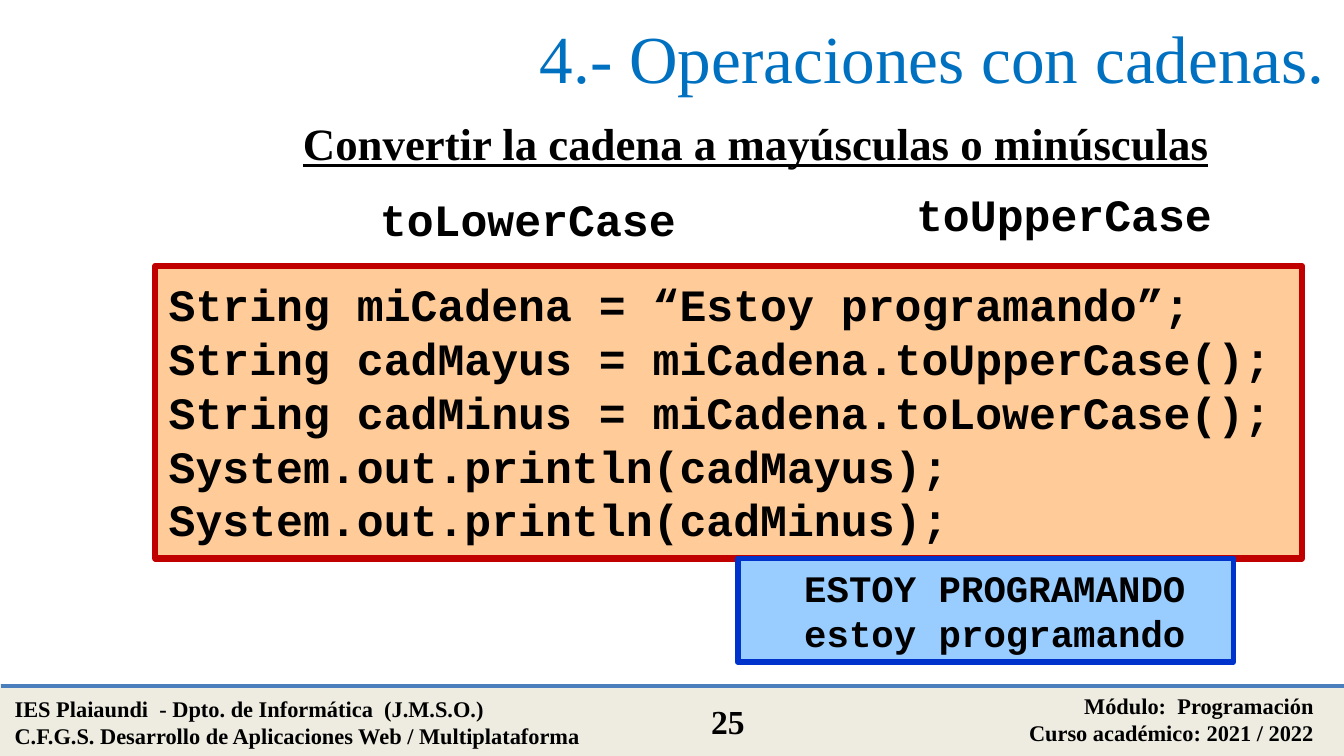
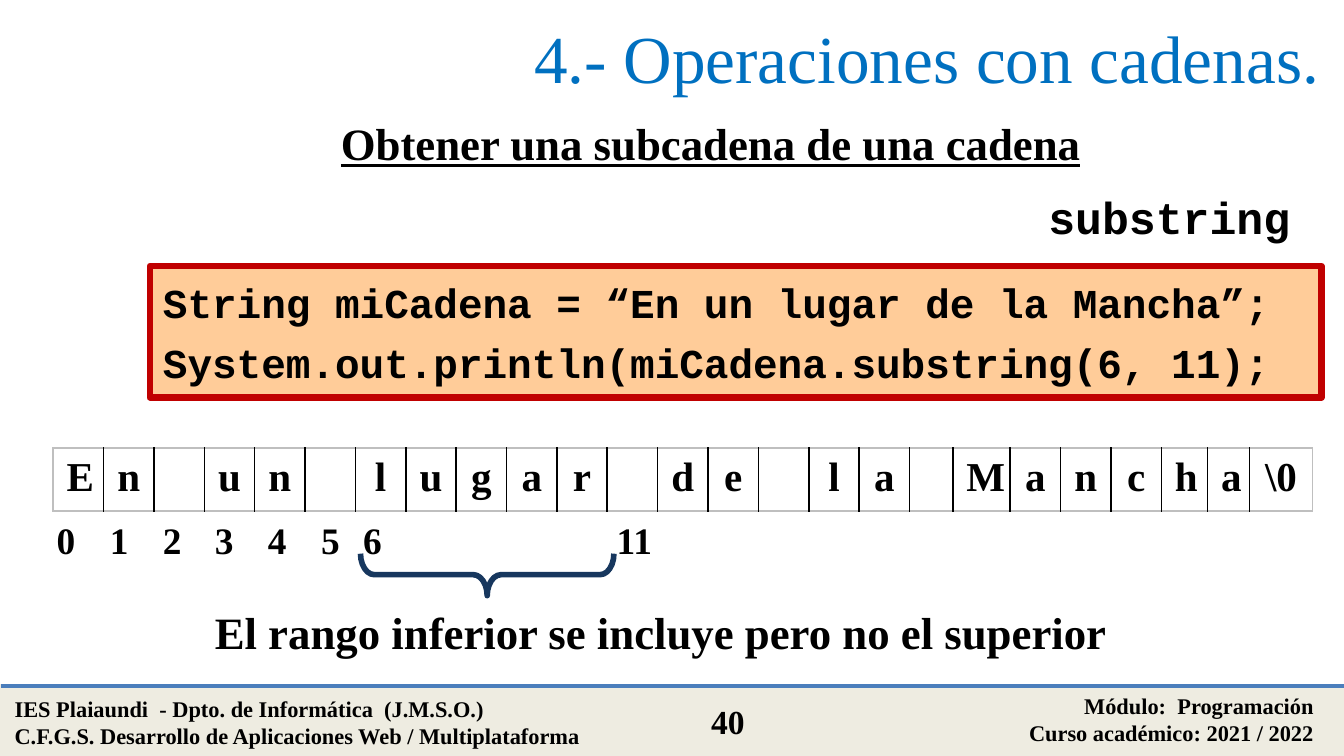
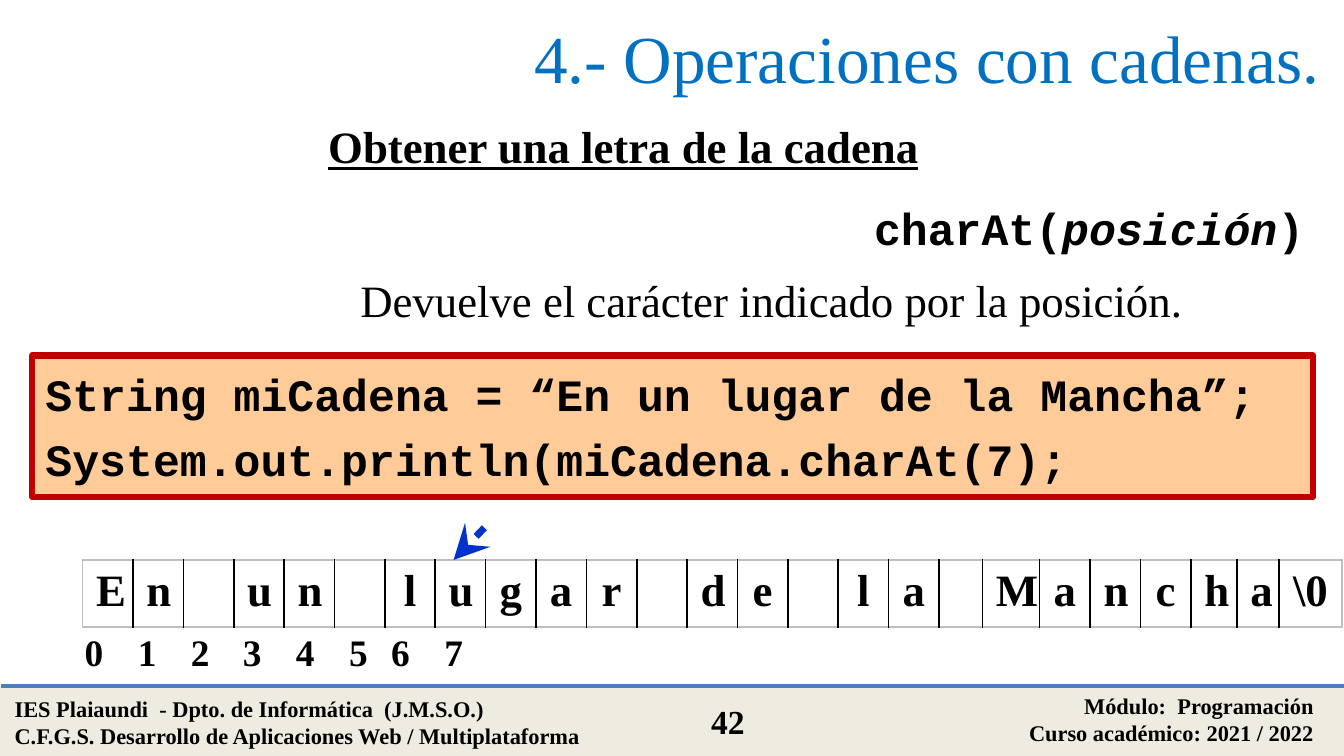
from lxml import etree
from pptx import Presentation
from pptx.dml.color import RGBColor
from pptx.enum.dml import MSO_LINE
from pptx.enum.shapes import MSO_CONNECTOR, MSO_SHAPE
from pptx.enum.text import MSO_ANCHOR, PP_ALIGN
from pptx.oxml.ns import qn
from pptx.util import Emu, Pt

LEFT, CENTER, RIGHT, JUSTIFY = PP_ALIGN.LEFT, PP_ALIGN.CENTER, PP_ALIGN.RIGHT, PP_ALIGN.JUSTIFY
TOP, MIDDLE = MSO_ANCHOR.TOP, MSO_ANCHOR.MIDDLE
RECT, BRACE = MSO_SHAPE.RECTANGLE, MSO_SHAPE.LEFT_BRACE
STRAIGHT = MSO_CONNECTOR.STRAIGHT
DASH = MSO_LINE.SQUARE_DOT

SERIF, MONO = "Times New Roman", "Courier New"
BLACK, WHITE, GRAY = "000000", "FFFFFF", "BFBFBF"
TITLE_BLUE, BAND, BAND_LINE = "0070C0", "EEECE1", "4B7EBC"
CODE_FILL, CODE_LINE = "FFCC99", "C00000"
OUTPUT_FILL, OUTPUT_LINE, BRACE_LINE = "99CCFF", "0033CC", "17375E"

LETTERS = list("En un lugar de la Mancha") + ["\\0"]
COLUMNS = [36] * 17 + [31, 41] + [36] * 3 + [33, 30, 45]
INDEX_OFFSETS = {0: 0, 1: 38, 2: 76, 3: 113, 4: 151, 5: 189, 6: 219, 7: 257, 11: 400}
QUOTE = "String miCadena = “En un lugar de la Mancha”;"


def px(n):
    return Emu(n * 9525)


def rgb(value):
    return RGBColor.from_string(value)


class Deck:
    """Hold the shared style and the current slide."""

    def __init__(self):
        self.prs = Presentation()
        self.prs.slide_width, self.prs.slide_height = px(960), px(540)
        self.s = None

    def slide(self, number, title_left=119):
        self.s = self.prs.slides.add_slide(self.prs.slide_layouts[6])
        self.shape(RECT, 1, 490, 960, 50, BAND, BAND, 2)
        self.line(1, 490, 961, 490, BAND_LINE, 2)
        self.text(1, 492, 447, 48, ["IES Plaiaundi  - Dpto. de Informática  (J.M.S.O.)",
                                    "C.F.G.S. Desarrollo de Aplicaciones Web / Multiplataforma"], 12)
        self.text(564, 490, 384, 48, ["Módulo:  Programación",
                                      "Curso académico: 2021 / 2022"], 12, align=RIGHT)
        self.text(481, 496, 78, 38, [str(number)], 18, align=CENTER)
        self.text(title_left, 0, 833, 81, ["4.- Operaciones con cadenas."], 36, align=RIGHT,
                  bold=False, color=TITLE_BLUE, anchor=MIDDLE)

    def add_runs(self, tf, paragraphs, size, font=SERIF, align=LEFT, bold=True, underline=False,
                 color=BLACK, gap=0, indent=0):
        for i, runs in enumerate(paragraphs):
            p = tf.add_paragraph() if i else tf.paragraphs[0]
            p.alignment = align
            if i and gap:
                p.space_before = Pt(gap)
            if indent:
                p._p.get_or_add_pPr().set("indent", str(px(indent)))
            for text, italic in [(runs, False)] if isinstance(runs, str) else runs:
                r = p.add_run()
                r.text = text
                f = r.font
                f.name, f.size, f.bold, f.italic, f.underline = font, Pt(size), bold, italic, underline
                f.color.rgb = rgb(color)

    def text(self, x, y, w, h, paragraphs, size=24, anchor=TOP, **style):
        tf = self.s.shapes.add_textbox(px(x), px(y), px(w), px(h)).text_frame
        tf.word_wrap = True
        tf.vertical_anchor = anchor
        self.add_runs(tf, paragraphs, size, **style)

    def heading(self, x, y, w, text):
        self.text(x, y, w, 48, [text], align=JUSTIFY, underline=True)

    def shape(self, kind, x, y, w, h, fill, line, weight):
        sp = self.s.shapes.add_shape(kind, px(x), px(y), px(w), px(h))
        sp.shadow.inherit = False
        if fill:
            sp.fill.solid()
            sp.fill.fore_color.rgb = rgb(fill)
        else:
            sp.fill.background()
        sp.line.color.rgb = rgb(line)
        sp.line.width = Pt(weight)
        return sp

    def panel(self, x, y, w, h, lines, size, fill, line, weight, margin=5, **style):
        tf = self.shape(RECT, x, y, w, h, fill, line, weight).text_frame
        tf.word_wrap = True
        tf.vertical_anchor = TOP
        tf.margin_top = tf.margin_bottom = px(margin)
        self.add_runs(tf, lines, size, MONO, **style)

    def code(self, x, y, w, h, lines, size=24, gap=0):
        self.panel(x, y, w, h, lines, size, CODE_FILL, CODE_LINE, 3.25, margin=8, gap=gap)

    def line(self, x1, y1, x2, y2, color, weight, arrow=False):
        c = self.s.shapes.add_connector(STRAIGHT, px(x1), px(y1), px(x2), px(y2))
        c.line.color.rgb = rgb(color)
        c.line.width = Pt(weight)
        if arrow:
            c.line.dash_style = DASH
            ln = c._element.spPr.find(qn("a:ln"))
            etree.SubElement(ln, qn("a:tailEnd"), type="stealth", w="lg", len="lg")
        etree.SubElement(c._element.spPr, qn("a:effectLst"))

    def brace(self, x, y, w, h):
        sp = self.shape(BRACE, x, y, w, h, None, BRACE_LINE, 3)
        sp.rotation = 270
        sp.adjustments[0], sp.adjustments[1] = 0.33, 0.5

    def border(self, cell, side, color):
        ln = etree.SubElement(cell._tc.get_or_add_tcPr(), qn("a:" + side), w=str(Pt(1)))
        fill = etree.SubElement(ln, qn("a:solidFill"))
        etree.SubElement(fill, qn("a:srgbClr"), val=color)

    def letters(self, x, y, h, size):
        last = len(LETTERS) - 1
        table = self.s.shapes.add_table(1, last + 1, px(x), px(y), px(sum(COLUMNS)), px(h)).table
        table.first_row = table.horz_banding = False
        table.rows[0].height = px(h)
        for i, (letter, width) in enumerate(zip(LETTERS, COLUMNS)):
            table.columns[i].width = px(width)
            cell = table.cell(0, i)
            self.border(cell, "lnL", BLACK if i else GRAY)
            self.border(cell, "lnR", BLACK if i < last else GRAY)
            self.border(cell, "lnT", GRAY)
            self.border(cell, "lnB", GRAY)
            cell.fill.solid()
            cell.fill.fore_color.rgb = rgb(WHITE)
            if letter != " ":
                self.add_runs(cell.text_frame, [letter], size, align=CENTER)

    def indexes(self, x, y, numbers):
        for n in numbers:
            self.text(x + INDEX_OFFSETS[n], y, 45 if n > 9 else 30, 42, [str(n)], 20)


def main():
    d = Deck()

    d.slide(25, title_left=123)
    d.heading(207, 78, 738, "Convertir la cadena a mayúsculas o minúsculas")
    d.text(207, 132, 340, 48, ["toLowerCase"], font=MONO, align=CENTER)
    d.text(590, 129, 340, 48, ["toUpperCase"], font=MONO, align=CENTER)
    d.code(111, 190, 819, 209, ["String miCadena = “Estoy programando”;",
                                "String cadMayus = miCadena.toUpperCase();",
                                "String cadMinus = miCadena.toLowerCase();",
                                "System.out.println(cadMayus);",
                                "System.out.println(cadMinus);"])
    d.panel(527, 399, 354, 74, ["ESTOY PROGRAMANDO", "estoy programando"], 20,
            OUTPUT_FILL, OUTPUT_LINE, 3, indent=38)

    d.slide(40)
    d.heading(234, 78, 589, "Obtener una subcadena de una cadena")
    d.text(39, 131, 892, 48, ["substring"], font=MONO, align=RIGHT)
    d.code(107, 190, 837, 94, [QUOTE, "System.out.println(miCadena.substring(6, 11);"], 22, gap=6)
    d.letters(38, 320, 45, 22)
    d.indexes(31, 365, [*range(7), 11])
    d.brace(333, 320, 30, 181)
    d.text(144, 427, 769, 48, ["El rango inferior se incluye pero no el superior"], align=JUSTIFY)

    d.slide(42)
    d.heading(225, 80, 618, "Obtener una letra de la cadena")
    d.text(49, 139, 892, 48, [[("charAt(", False), ("posición", True), (")", False)]],
           font=MONO, align=RIGHT)
    d.text(162, 190, 778, 48, ["Devuelve el carácter indicado por la posición."],
           align=CENTER, bold=False)
    d.code(23, 254, 915, 101, [QUOTE, "System.out.println(miCadena.charAt(7);"], gap=6)
    d.letters(59, 400, 48, 24)
    d.indexes(51, 445, range(8))
    d.line(346, 377, 324, 400, OUTPUT_LINE, 3.75, arrow=True)

    d.prs.save("out.pptx")


if __name__ == "__main__":
    main()
